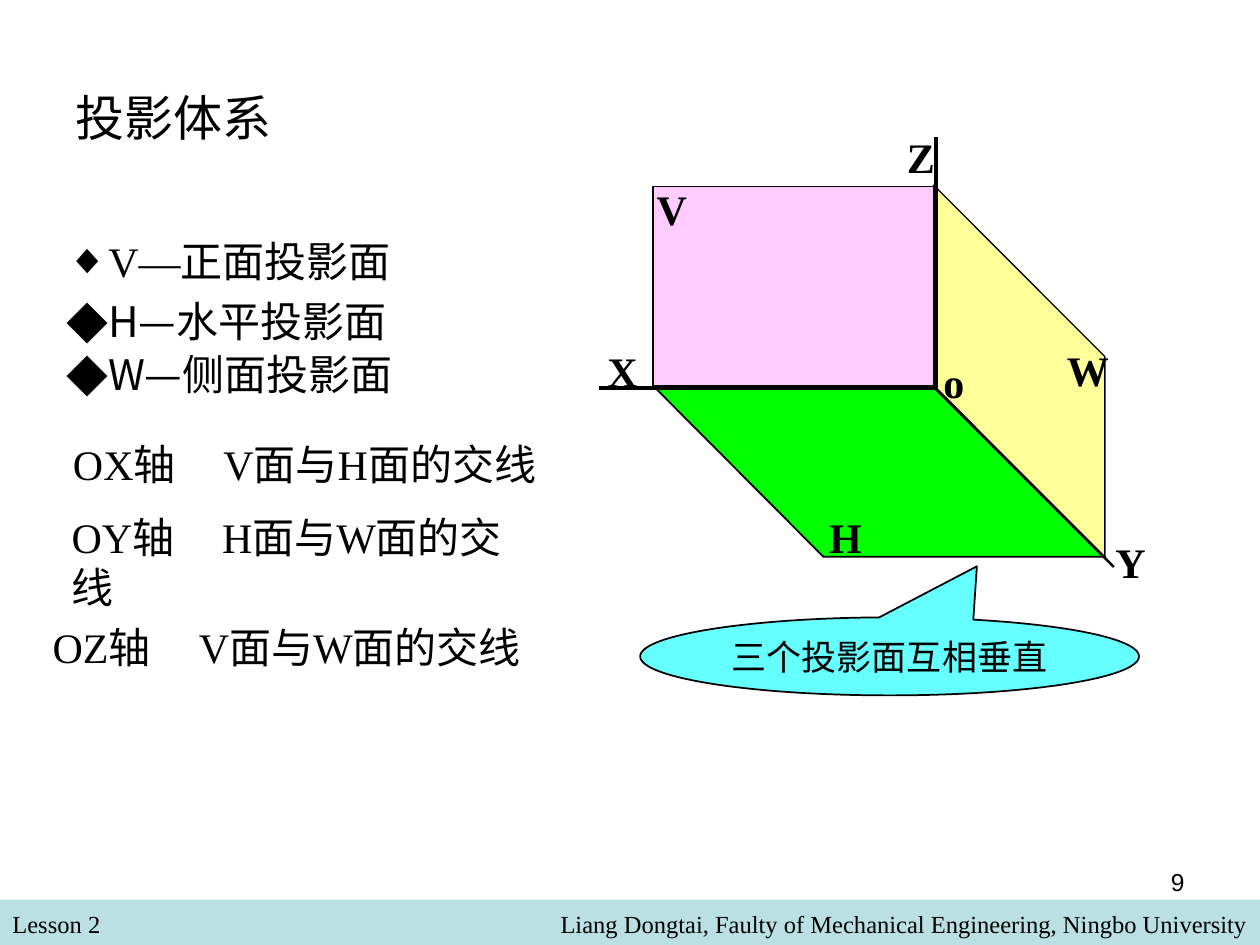
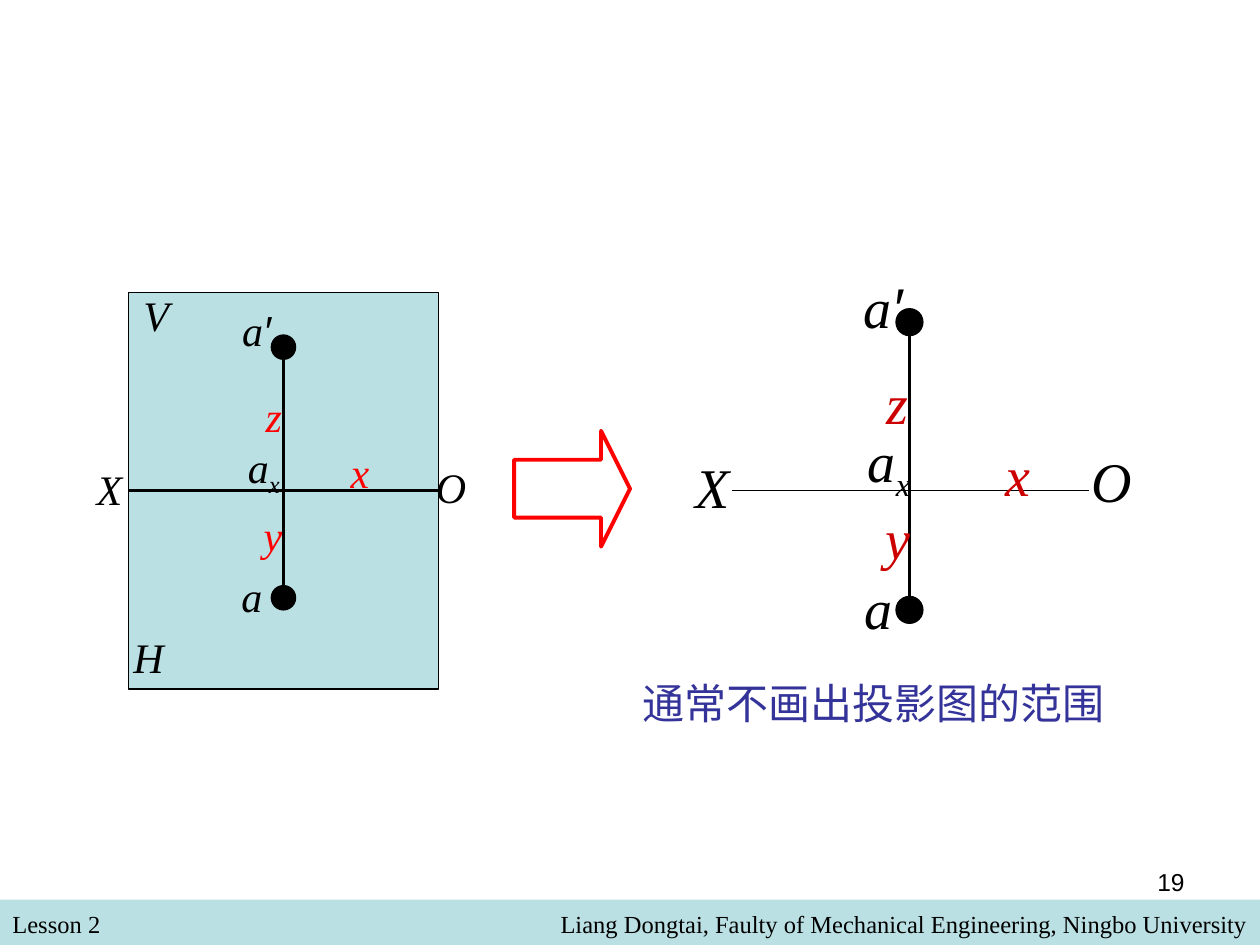
import dataclasses

import pptx
import pptx.dml.color
import pptx.enum.shapes
import pptx.enum.text
import pptx.oxml
import pptx.oxml.ns
import pptx.util

Pt = pptx.util.Pt
SHAPE = pptx.enum.shapes.MSO_SHAPE
ALIGN = pptx.enum.text.PP_ALIGN
ANCHOR = pptx.enum.text.MSO_ANCHOR


@dataclasses.dataclass(frozen=True)
class Theme:
    """Colours, fonts and type sizes shared by the slides."""

    ink: str = "000000"
    band: str = "BBE0E3"
    v_plane: str = "FFCCFF"
    h_plane: str = "00FF00"
    w_plane: str = "FFFF99"
    callout: str = "66FFFF"
    note: str = "333399"
    red: str = "FF0000"
    dark_red: str = "CC0000"
    serif: str = "Times New Roman"
    sans: str = "Arial"
    cjk: str = "Noto Sans CJK SC"
    title: int = 28
    text: int = 24
    remark: int = 20
    footer: int = 14
    large: int = 32


THEME = Theme()


def rgb(colour):
    """Turn a hex string into a colour value."""
    return pptx.dml.color.RGBColor.from_string(colour)


def apply(target, formats):
    """Set each attribute named in a dict of format values."""
    for attribute, value in formats.items():
        setattr(target, attribute, value)


def add_element(parent, tag, children="", **attributes):
    """Append a DrawingML element to a parent element."""
    listed = " ".join(f'{key}="{value}"' for key, value in attributes.items())
    namespace = pptx.oxml.ns.nsdecls("a")
    parent.append(pptx.oxml.parse_xml(f"<a:{tag} {namespace} {listed}>{children}</a:{tag}>"))


def add_run(paragraph, words, colour=THEME.ink, subscript=False, **formats):
    """Add a run of text with its font formats."""
    run = paragraph.add_run()
    run.text = words
    run.font.color.rgb = rgb(colour)
    apply(run.font, {"name": THEME.serif, "size": Pt(THEME.text), **formats})
    properties = run.font._element
    add_element(properties, "ea", typeface=THEME.cjk)
    if subscript:
        properties.set("baseline", "-25000")


def place(item, left, top, width, height):
    """Move and size an item, in points."""
    apply(item, {"left": Pt(left), "top": Pt(top), "width": Pt(width), "height": Pt(height)})


def add_text(slide, words, box, align=ALIGN.LEFT, anchor=ANCHOR.MIDDLE,
             wrap=True, side_margin=7.2, **formats):
    """Add a one-paragraph text box and return its paragraph."""
    frame = slide.shapes.add_textbox(*map(Pt, box)).text_frame
    apply(frame, {"word_wrap": wrap, "vertical_anchor": anchor,
                  "margin_left": Pt(side_margin), "margin_right": Pt(side_margin)})
    paragraph = frame.paragraphs[0]
    paragraph.alignment = align
    add_run(paragraph, words, **formats)
    return paragraph


def add_label(slide, words, left, top, width, **formats):
    """Add a short centred letter beside a part of a figure."""
    height = formats["size"].pt * 1.25 + 6
    return add_text(slide, words, (left, top, width, height),
                    align=ALIGN.CENTER, wrap=False, side_margin=0, **formats)


def paint(shape, fill, line, weight):
    """Set the fill and outline of a shape; None leaves either out."""
    shape.shadow.inherit = False
    for part, colour in ((shape.fill, fill), (shape.line.fill, line)):
        if colour:
            part.solid()
            part.fore_color.rgb = rgb(colour)
        else:
            part.background()
    if line:
        shape.line.width = Pt(weight)


def add_figure(slide, kind, box, fill, line=THEME.ink, weight=1, adjust=()):
    """Add a preset shape."""
    shape = slide.shapes.add_shape(kind, *map(Pt, box))
    for index, value in enumerate(adjust):
        shape.adjustments[index] = value
    paint(shape, fill, line, weight)
    return shape


def add_line(slide, start, end, weight):
    """Add a straight black line."""
    line = slide.shapes.add_connector(
        pptx.enum.shapes.MSO_CONNECTOR.STRAIGHT, *map(Pt, (*start, *end)))
    line.line.width = Pt(weight)
    line.line.color.rgb = rgb(THEME.ink)
    add_element(line.element.spPr, "effectLst")


def add_master_band(presentation, slide):
    """Put the footer band and its two texts on the slide master."""
    add_figure(slide, SHAPE.RECTANGLE, (0, 514, 720, 26), THEME.band, line=None)
    footer = {"anchor": ANCHOR.TOP, "size": Pt(THEME.footer)}
    add_text(slide, "Lesson 2", (0, 516.2, 348, 24.5), **footer)
    add_text(slide, "Liang Dongtai, Faulty of Mechanical Engineering, Ningbo University",
             (132, 516.2, 588, 24.5), align=ALIGN.RIGHT, **footer)
    for part in list(slide.shapes)[-3:]:
        presentation.slide_master.shapes.element.append(part.element)


def add_number(slide, number):
    """Add the slide number."""
    add_text(slide, number, (516.2, 491.8, 167.8, 37.4), align=ALIGN.RIGHT,
             anchor=ANCHOR.TOP, size=Pt(THEME.footer), name=THEME.sans)


def fill_title(slide, words):
    """Move and fill the title placeholder."""
    title = slide.shapes.title
    place(title, 36, 21.6, 648, 90)
    title.text_frame.vertical_anchor = ANCHOR.MIDDLE
    paragraph = title.text_frame.paragraphs[0]
    paragraph.alignment = ALIGN.LEFT
    add_run(paragraph, words, size=Pt(THEME.title), name=THEME.sans)


def fill_plane_list(slide, planes):
    """Fill the body placeholder with diamond-bulleted planes."""
    body = slide.placeholders[1]
    place(body, 30.7, 129.6, 345.6, 101)
    frame = body.text_frame
    apply(frame, {"auto_size": pptx.enum.text.MSO_AUTO_SIZE.NONE,
                  "vertical_anchor": ANCHOR.TOP})
    for index, (words, font) in enumerate(planes):
        paragraph = frame.add_paragraph() if index else frame.paragraphs[0]
        apply(paragraph, {"line_spacing": Pt(30.3), "space_before": Pt(4 if index == 1 else 0)})
        properties = paragraph._p.get_or_add_pPr()
        for key, value in {"marL": Pt(24), "indent": -Pt(24)}.items():
            properties.set(key, str(value))
        add_element(properties, "buFont", typeface=font)
        add_element(properties, "buChar", char="◆")
        add_run(paragraph, words, name=font)


def add_axis_relation(slide, axis, planes, box, tab=86):
    """Describe an axis as the line where two planes meet."""
    paragraph = add_text(slide, f"{axis}轴\t{planes}的交线", box)
    paragraph.line_spacing = Pt(28.8)
    add_element(paragraph._p.get_or_add_pPr(), "tabLst",
                f'<a:tab pos="{Pt(tab)}" algn="l"/>')


def add_projection_planes(slide):
    """Draw the three planes, the axes and their letters."""
    h_plane = add_figure(slide, SHAPE.PARALLELOGRAM, (373, 220.3, 258.5, 97.9),
                         THEME.h_plane, adjust=(0.996,))
    h_plane.rotation = 180
    h_plane.element.spPr.xfrm.set("flipH", "1")

    corners = [(533.5, 105.8), (533.5, 220.3), (631.4, 318.2), (631.4, 203.8)]
    outline = slide.shapes.build_freeform(*map(Pt, corners[0]), scale=1)
    outline.add_line_segments([tuple(map(Pt, corner)) for corner in corners[1:]], close=True)
    paint(outline.convert_to_shape(), THEME.w_plane, THEME.ink, 0.75)

    add_figure(slide, SHAPE.RECTANGLE, (373, 106.6, 160.6, 113.8), THEME.v_plane)

    for start, end, weight in (((535, 221.8), (342, 221.8), 2.25),
                               ((535, 78.5), (535, 221.8), 2.25),
                               ((532.8, 220.3), (636.5, 324), 1.5)):
        add_line(slide, start, end, weight)
    for letter, left, top, width in (
            ("H", 466.6, 288.7, 33), ("W", 602.6, 193, 38), ("V", 367.9, 101.5, 32),
            ("o", 532, 200.2, 26), ("X", 339.8, 193.7, 32), ("Z", 511.2, 71.3, 30),
            ("Y", 630, 303.1, 32)):
        add_label(slide, letter, left, top, width, bold=True, size=Pt(THEME.text))


def add_point_projection(slide, link, axis, dot, letters, size, accent):
    """Draw the two projections of a point, their link line and letters."""
    x, top, bottom = link
    left, right, y = axis
    add_line(slide, (x, top), (x, bottom), 1.5)
    add_line(slide, (left, y), (right, y), 0.75)
    for centre in (top, bottom):
        add_figure(slide, SHAPE.OVAL, (x - dot / 2, centre - dot / 2, dot, dot),
                   THEME.ink, weight=0.75)
    style = {"size": Pt(size), "italic": True}
    endings = {"a′": {"name": THEME.sans}, "ax": {"subscript": True}}
    for letter, *spot in letters:
        colour = accent if letter in ("x", "y", "z") else THEME.ink
        paragraph = add_label(slide, letter[0], *spot, colour=colour, **style)
        if letter in endings:
            add_run(paragraph, letter[1], **style, **endings[letter])


def build_projection_system(slide):
    """Build the slide on the projection system."""
    fill_title(slide, "投影体系")
    fill_plane_list(slide, [("V—正面投影面", THEME.serif),
                            ("H—水平投影面", THEME.cjk),
                            ("W—侧面投影面", THEME.cjk)])
    add_axis_relation(slide, "OX", "V面与H面", (34.6, 232.6, 280, 64.8))
    add_axis_relation(slide, "OY", "H面与W面", (33.8, 288.7, 275, 64.8))
    add_axis_relation(slide, "OZ", "V面与W面", (23, 351.4, 306, 36), tab=83.5)
    add_projection_planes(slide)
    callout = add_figure(slide, SHAPE.OVAL_CALLOUT, (365.8, 352.8, 285.1, 44.6),
                         THEME.callout, adjust=(0.175, -1.155))
    callout.text_frame.vertical_anchor = ANCHOR.MIDDLE
    remark = callout.text_frame.paragraphs[0]
    remark.alignment = ALIGN.CENTER
    add_run(remark, "三个投影面互相垂直", size=Pt(THEME.remark))
    add_number(slide, "9")


def build_point_views(slide):
    """Build the slide that drops the frame of the projection planes."""
    for top in (167, 280.8):
        add_figure(slide, SHAPE.RECTANGLE, (73.4, top, 177.1, 113), THEME.band, weight=0.75)
    add_point_projection(
        slide, (162, 198.4, 341.6), (73.4, 250.5, 280.4), 13.9,
        [("X", 48.2, 261.4, 28.8), ("H", 69.1, 357.1, 31.7), ("V", 74.9, 162, 28.8),
         ("O", 241.9, 259.9, 31.7), ("a′", 121, 170.6, 51.1), ("a", 131, 322.6, 25.9),
         ("ax", 134.6, 250.6, 32.4), ("x", 193, 251.3, 25.2), ("z", 146.5, 219.6, 20),
         ("y", 143.3, 287.3, 25.2)], THEME.text, THEME.red)
    add_figure(slide, SHAPE.RIGHT_ARROW, (293.8, 246.2, 66.2, 66.2), None,
               line=THEME.red, weight=2.25, adjust=(0.5, 0.25))
    add_point_projection(
        slide, (519.7, 184.1, 348.5), (418.3, 622.1, 280.1), 15.4,
        [("X", 390.2, 254.9, 33.8), ("O", 616.3, 251.3, 37.4), ("a′", 475.9, 151.9, 57.6),
         ("a", 486.7, 324, 30.2), ("ax", 478, 242.3, 60), ("x", 567.4, 247.7, 28.8),
         ("z", 499.7, 206.6, 26.6), ("y", 499, 283.7, 28.8)], THEME.large, THEME.dark_red)
    add_text(slide, "通常不画出投影图的范围", (360, 383.8, 288, 36), colour=THEME.note)
    add_number(slide, "19")


def main():
    """Build both slides and save them."""
    presentation = pptx.Presentation()
    apply(presentation, {"slide_width": Pt(720), "slide_height": Pt(540)})
    layouts = presentation.slide_layouts
    system, views = (presentation.slides.add_slide(layouts[index]) for index in (1, 6))
    add_master_band(presentation, system)
    build_projection_system(system)
    build_point_views(views)
    presentation.save("out.pptx")


if __name__ == "__main__":
    main()
